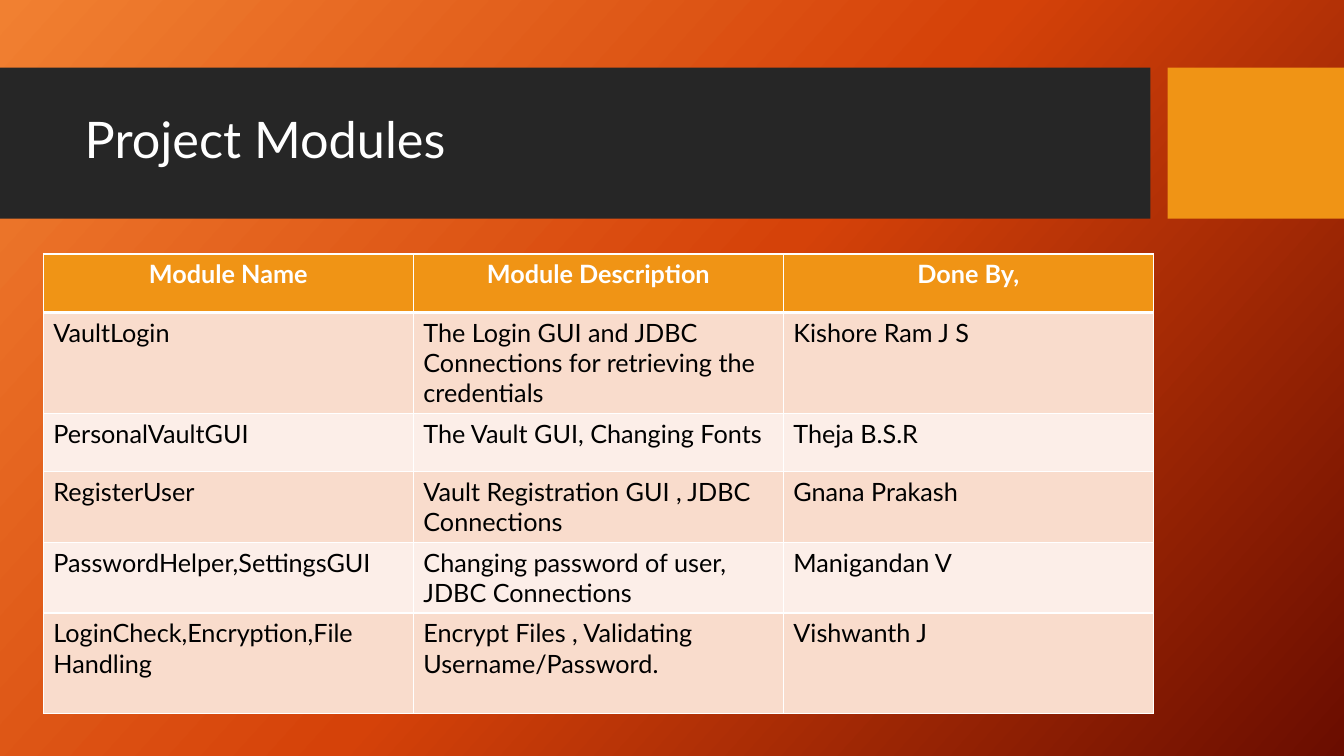
from copy import deepcopy
from dataclasses import dataclass

from lxml import etree
from pptx import Presentation
from pptx import util as u
from pptx.dml.color import RGBColor
from pptx.enum import shapes, text
from pptx.oxml.ns import qn


@dataclass(frozen=True)
class Theme:
    font: str = "Lato"
    title_size: int = 36
    table_size: int = 18
    white: str = "FFFFFF"
    ink: str = "000000"
    bar: str = "262626"
    accent: str = "F09415"
    bands: tuple[str, str] = ("F9DCCC", "FCEEE8")
    gradient: tuple[str, str, str] = ("F18031", "D54209", "6A0D00")
    gradient_angle: int = 42


@dataclass(frozen=True)
class Area:
    left: float
    top: float
    width: float
    height: float

    def lengths(self) -> tuple[int, ...]:
        return tuple(u.Inches(n) for n in (self.left, self.top, self.width, self.height))


@dataclass(frozen=True)
class Block:
    area: Area
    color: str


@dataclass(frozen=True)
class Module:
    name: str
    description: str
    author: str


THEME = Theme()
SLIDE_WIDTH, SLIDE_HEIGHT = 13.33, 7.5
BAND_TOP, BAND_HEIGHT = 0.67, SLIDE_HEIGHT / 5
TAB_WIDTH, BAR_WIDTH = 1.75, 11.41
BLOCKS = (
    Block(Area(0, BAND_TOP, BAR_WIDTH, BAND_HEIGHT), THEME.bar),
    Block(Area(SLIDE_WIDTH - TAB_WIDTH, BAND_TOP, TAB_WIDTH, BAND_HEIGHT), THEME.accent),
)
TITLE_AREA = Area(0.74, 0.82, 10.51, 1.18)
COLUMN_WIDTH, ROW_HEIGHT, LAST_ROW_HEIGHT = 3.67, 0.58, 1.0
HEADER = ("Module Name", "Module Description", "Done By,")
MODULES = (
    Module("VaultLogin", "The Login GUI and JDBC Connections for retrieving the credentials",
           "Kishore Ram J S"),
    Module("PersonalVaultGUI", "The Vault GUI, Changing Fonts", "Theja B.S.R"),
    Module("RegisterUser", "Vault Registration GUI , JDBC Connections", "Gnana Prakash"),
    Module("PasswordHelper,SettingsGUI", "Changing password of user, JDBC Connections",
           "Manigandan V"),
    Module("LoginCheck,Encryption,File Handling",
           "Encrypt Files , Validating Username/Password.", "Vishwanth J"),
)


def rgb(color: str) -> RGBColor:
    return RGBColor.from_string(color)


def add_span(para, words: str, size: int, color: str, bold: bool = False) -> None:
    span = para.add_run()
    span.text = words
    span.font.name = THEME.font
    span.font.size = u.Pt(size)
    span.font.bold = bold
    span.font.color.rgb = rgb(color)


def paint_background(page) -> None:
    fill = page.background.fill
    fill.gradient()
    fill.gradient_angle = 360 - THEME.gradient_angle
    stop_list = next(page.element.iter(qn("a:gsLst")))
    stop_list.insert(1, deepcopy(stop_list[0]))
    last = len(THEME.gradient) - 1
    for index, (stop, color) in enumerate(zip(fill.gradient_stops, THEME.gradient)):
        stop.position = index / last
        stop.color.rgb = rgb(color)


def add_block(page, block: Block) -> None:
    box = page.shapes.add_shape(shapes.MSO_SHAPE.RECTANGLE, *block.area.lengths())
    box.shadow.inherit = False
    box.fill.solid()
    box.fill.fore_color.rgb = rgb(block.color)
    box.line.fill.background()


def set_title(page, words: str) -> None:
    title = page.shapes.title
    title.left, title.top, title.width, title.height = TITLE_AREA.lengths()
    page.shapes.element.append(title.element)
    frame = title.text_frame
    frame.word_wrap = True
    frame.auto_size = text.MSO_AUTO_SIZE.NONE
    frame.vertical_anchor = text.MSO_ANCHOR.MIDDLE
    para = frame.paragraphs[0]
    para.alignment = text.PP_ALIGN.LEFT
    para.line_spacing = 0.9
    add_span(para, words, THEME.title_size, THEME.white)


def set_borders(cell, widths: dict[str, float]) -> None:
    properties = cell._tc.get_or_add_tcPr()
    for index, side in enumerate(("L", "R", "T", "B")):
        line = etree.Element(qn(f"a:ln{side}"), w=str(u.Pt(widths.get(side, 1))))
        solid = etree.SubElement(line, qn("a:solidFill"))
        etree.SubElement(solid, qn("a:srgbClr"), val=THEME.white)
        properties.insert(index, line)


def fill_cell(cell, words: str, row: int) -> None:
    heading = row == 0
    cell.fill.solid()
    cell.fill.fore_color.rgb = rgb(THEME.accent if heading else THEME.bands[(row - 1) % 2])
    set_borders(cell, {"B": 3} if heading else {"T": 3} if row == 1 else {})
    para = cell.text_frame.paragraphs[0]
    para.alignment = text.PP_ALIGN.CENTER if heading else text.PP_ALIGN.LEFT
    add_span(para, words, THEME.table_size, THEME.white if heading else THEME.ink, heading)


def add_module_table(page) -> None:
    rows = [HEADER, *((m.name, m.description, m.author) for m in MODULES)]
    heights = [ROW_HEIGHT] * len(MODULES) + [LAST_ROW_HEIGHT]
    area = Area(0.43, 2.52, COLUMN_WIDTH * len(HEADER), sum(heights))
    table = page.shapes.add_table(len(rows), len(HEADER), *area.lengths()).table
    for column in table.columns:
        column.width = u.Inches(COLUMN_WIDTH)
    for index, (words, height) in enumerate(zip(rows, heights)):
        table.rows[index].height = u.Inches(height)
        for cell, entry in zip(table.rows[index].cells, words):
            fill_cell(cell, entry, index)


deck = Presentation()
deck.slide_width, deck.slide_height = u.Inches(SLIDE_WIDTH), u.Inches(SLIDE_HEIGHT)
page = deck.slides.add_slide(deck.slide_layouts.get_by_name("Title Only"))
paint_background(page)
for block in BLOCKS:
    add_block(page, block)
set_title(page, "Project Modules")
add_module_table(page)
deck.save("out.pptx")
